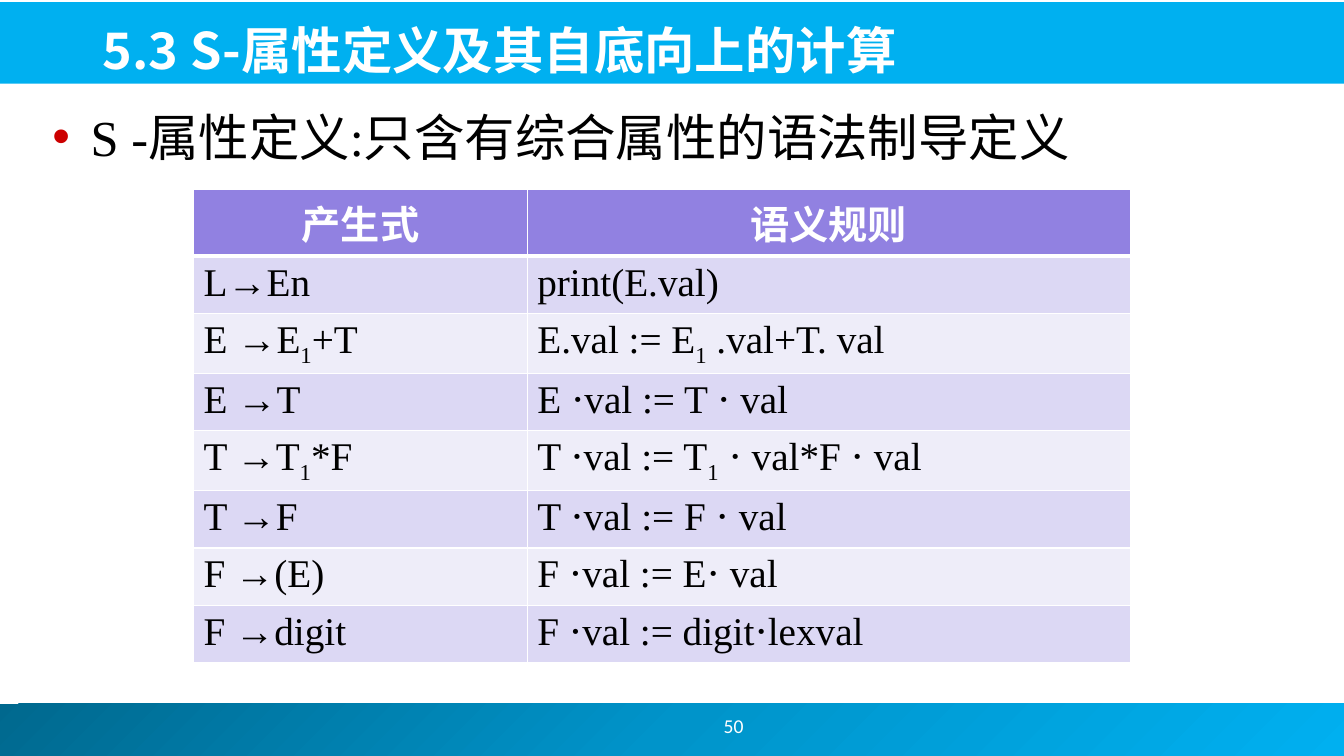
from copy import deepcopy

from lxml.etree import SubElement
from pptx import Presentation
from pptx.dml.color import RGBColor
from pptx.enum.shapes import MSO_SHAPE
from pptx.enum.text import MSO_ANCHOR, MSO_AUTO_SIZE, PP_ALIGN
from pptx.oxml.ns import qn
from pptx.util import Pt

PX = 9144  # EMU per px, at 100 px to the inch
COLORS = {
    "white": "FFFFFF", "black": "000000", "sky": "00B0F0", "ocean": "0094CA",
    "deep": "00688E", "bullet": "CC0000", "header": "9181E1",
    "odd": "DCD8F4", "even": "EEEDF9",
}
SERIF, SANS, CJK = "Times New Roman", "Calibri", "Noto Sans CJK JP"
RULES = [
    ("产生式", "语义规则"),
    ("L→En", "print(E.val)"),
    ("E →E1+T", "E.val := E1 .val+T. val"),
    ("E →T", "E ⋅val := T ⋅ val"),
    ("T →T1*F", "T ⋅val := T1 ⋅ val*F ⋅ val"),
    ("T →F", "T ⋅val := F ⋅ val"),
    ("F →(E)", "F ⋅val := E⋅ val"),
    ("F →digit", "F ⋅val := digit⋅lexval"),
]


def color(name):
    return RGBColor.from_string(COLORS[name])


def emu(box):
    return [length * PX for length in box]


def place(shape, box):
    shape.left, shape.top, shape.width, shape.height = emu(box)


def style(span, size, font, ink, bold=False, east_asian=None):
    span.font.size = Pt(size)
    span.font.name = font
    span.font.bold = bold
    span.font.color.rgb = color(ink)
    if east_asian:
        span.font._element.find(qn("a:latin")).addnext(
            SubElement(span.font._element, qn("a:ea"), typeface=east_asian))


def add_bar(page, box):
    """Add a plain bar behind everything else on the page."""
    bar = page.shapes.add_shape(MSO_SHAPE.RECTANGLE, *emu(box))
    bar.shadow.inherit = False
    bar.line.fill.background()
    bar.fill.solid()
    bar.fill.fore_color.rgb = color("sky")
    bar.element.getparent().insert(2, bar.element)
    return bar


def add_heading(page, box):
    left, top, width, height = box
    add_bar(page, box)
    title = page.shapes.title
    place(title, (left + 94, top + 3, width - 139, height - 2))
    frame = title.text_frame
    frame.text = "5.3 S-属性定义及其自底向上的计算"
    frame.auto_size = MSO_AUTO_SIZE.NONE
    frame.vertical_anchor = MSO_ANCHOR.BOTTOM
    para = frame.paragraphs[0]
    para.alignment = PP_ALIGN.LEFT
    style(para.runs[0], 36, CJK, "white", True, CJK)


def add_definition(page, box):
    body = page.placeholders[1]
    place(body, box)
    frame = body.text_frame
    frame.text = "S -属性定义:只含有综合属性的语法制导定义"
    frame.auto_size = MSO_AUTO_SIZE.NONE
    para = frame.paragraphs[0]
    para.space_before = Pt(0)
    properties = para._p.get_or_add_pPr()
    properties.set("marL", str(38 * PX))
    properties.set("indent", str(-38 * PX))
    bullet_color = SubElement(properties, qn("a:buClr"))
    SubElement(bullet_color, qn("a:srgbClr"), val=COLORS["bullet"])
    SubElement(properties, qn("a:buFont"), typeface="Arial")
    SubElement(properties, qn("a:buChar"), char="•")
    style(para.runs[0], 36, SERIF, "black", east_asian=CJK)


def add_borders(cell, top, bottom):
    properties = cell._tc.get_or_add_tcPr()
    for side, points in (("L", 1), ("R", 1), ("T", top), ("B", bottom)):
        line = SubElement(properties, qn(f"a:ln{side}"), w=str(Pt(points)))
        fill = SubElement(line, qn("a:solidFill"))
        SubElement(fill, qn("a:srgbClr"), val=COLORS["white"])


def fill_cell(cell, text, row):
    """Write a cell, lowering the digit 1 to a subscript."""
    add_borders(cell, 3 if row == 1 else 1, 3 if row == 0 else 1)
    cell.fill.solid()
    cell.fill.fore_color.rgb = color(
        "header" if row == 0 else "odd" if row % 2 else "even")
    para = cell.text_frame.paragraphs[0]
    para.alignment = PP_ALIGN.LEFT if row else PP_ALIGN.CENTER
    for piece in filter(None, text.partition("1")):
        span = para.add_run()
        span.text = piece
        if row:
            style(span, 28, SERIF, "black")
        else:
            style(span, 28, SERIF, "white", True, CJK)
        if piece == "1":
            span.font._element.set("baseline", "-25000")


def add_rules_table(page, box):
    table = page.shapes.add_table(len(RULES), 2, *emu(box)).table
    table.columns[0].width = 331 * PX
    table.columns[1].width = (box[2] - 331) * PX
    for row, texts in enumerate(RULES):
        table.rows[row].height = box[3] * PX // len(RULES)
        for column, text in enumerate(texts):
            fill_cell(table.cell(row, column), text, row)


def add_footer(page, box):
    left, top, width, height = box
    fill = add_bar(page, box).fill
    fill.gradient()
    fill.gradient_angle = 315
    first_stop = fill.gradient_stops[0]._gs
    first_stop.addnext(deepcopy(first_stop))
    for index, name in enumerate(("deep", "ocean", "sky")):
        stop = fill.gradient_stops[index]
        stop.position = index / 2
        stop.color.rgb = color(name)
    number = page.shapes.add_textbox(*emu((left + 588, top - 3, 289, 50)))
    frame = number.text_frame
    frame.word_wrap = True
    frame.vertical_anchor = MSO_ANCHOR.MIDDLE
    frame.text = "50"
    para = frame.paragraphs[0]
    para.alignment = PP_ALIGN.CENTER
    style(para.runs[0], 14, SANS, "white")


def main():
    deck = Presentation()
    deck.slide_width, deck.slide_height = 1333 * PX, 750 * PX
    page = deck.slides.add_slide(deck.slide_layouts[1])
    add_heading(page, (-2, 2, 1336, 81))
    add_definition(page, (42, 100, 1208, 67))
    add_rules_table(page, (192, 188, 929, 456))
    add_footer(page, (-5, 698, 1339, 52))
    deck.save("out.pptx")


if __name__ == "__main__":
    main()
